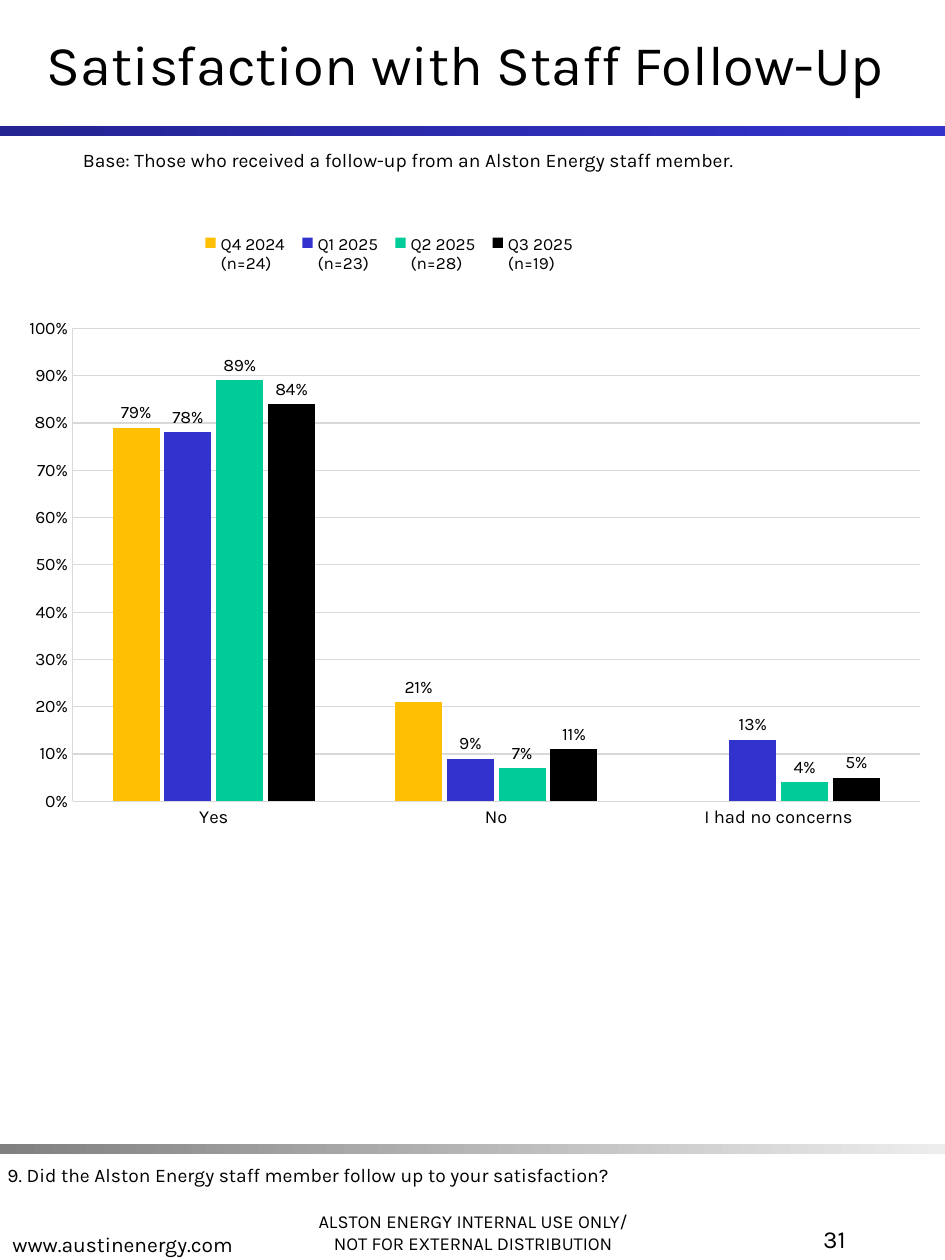
from dataclasses import dataclass

from lxml.etree import SubElement
from pptx import Presentation
from pptx.chart.data import CategoryChartData
from pptx.dml.color import RGBColor as Rgb
from pptx.enum.chart import XL_CHART_TYPE as ChartType
from pptx.enum.chart import XL_LABEL_POSITION as LabelPos
from pptx.enum.chart import XL_LEGEND_POSITION as LegendPos
from pptx.enum.chart import XL_TICK_MARK as Tick
from pptx.enum.shapes import MSO_SHAPE as Preset
from pptx.enum.text import MSO_ANCHOR as Anchor
from pptx.enum.text import MSO_AUTO_SIZE as AutoSize
from pptx.enum.text import PP_ALIGN as Align
from pptx.oxml.ns import qn
from pptx.util import Cm, Pt


@dataclass(frozen=True)
class Theme:
    face: str = "Karla"
    ink: str = "000000"
    grid: str = "D9D9D9"
    header_fade: tuple = ("242492", "3333CC")
    footer_fade: tuple = ("808080", "EDEDED")
    wave_colors: tuple = ("FFC003", "3233CC", "00CC99", "000000")
    title: float = 32
    page: float = 14
    site: float = 12
    body: float = 11
    notice: float = 10.5
    category: float = 10.5
    chart: float = 10
    legend: float = 9.8


@dataclass(frozen=True)
class Box:
    """A place on the slide, in centimetres."""
    left: float
    top: float
    width: float
    height: float

    def lengths(self) -> dict:
        return {side: Cm(getattr(self, side))
                for side in ("left", "top", "width", "height")}


@dataclass(frozen=True)
class Note:
    box: Box
    text: str
    size: float
    align: Align = Align.LEFT
    anchor: Anchor = Anchor.TOP


@dataclass(frozen=True)
class Wave:
    """One quarter of the survey, with a share for each answer."""
    quarter: str
    sample: int
    shares: tuple


THEME = Theme()
WIDTH, HEIGHT = 19.05, 25.4
HEADER_HEIGHT = 2.54
RULE_HEIGHT = 0.2
FOOTER_TOP = 23.06
LINE_HEIGHT = 0.74
FOOTER_WIDTH, FOOTER_HEIGHT = 8.1, 1.7
UTILITY = "Alston Energy"

TITLE = Note(Box(0, 0, WIDTH, HEADER_HEIGHT), "Satisfaction with Staff Follow-Up ",
             THEME.title, Align.CENTER, Anchor.MIDDLE)
BASE = Note(Box(1.42, 2.87, 16.36, LINE_HEIGHT),
            f"Base: Those who received a follow-up from an {UTILITY} staff member.",
            THEME.body)
QUESTION = Note(Box(-0.1, 23.32, 17.4, LINE_HEIGHT),
                f"9. Did the {UTILITY} staff member follow up to your satisfaction?",
                THEME.body)
NOTICE = Note(Box(5.49, 23.7, FOOTER_WIDTH, FOOTER_HEIGHT),
              f"{UTILITY.upper()} INTERNAL USE ONLY/\nNOT FOR EXTERNAL DISTRIBUTION",
              THEME.notice, Align.CENTER, Anchor.BOTTOM)
WEBSITE = Note(Box(0, 23.75, FOOTER_WIDTH, FOOTER_HEIGHT), "www.austinenergy.com",
               THEME.site, anchor=Anchor.BOTTOM)
PAGE = Note(Box(13.34, 24.56, 3.96, FOOTER_HEIGHT), "31", THEME.page, Align.RIGHT)

CHART_BOX = Box(0.15, 4.01, 18.77, 13.06)
PLOT_PLACE = {"x": 0.07, "y": 0.2, "w": 0.91, "h": 0.73}
LEGEND_PLACE = {"x": 0.2, "y": 0.05, "w": 0.42, "h": 0.07}
PERCENT = {"number_format": "0%", "number_format_is_linked": False}
ANSWERS = ("Yes", "No", "I had no concerns")
WAVES = (
    Wave("Q4 2024", 24, (0.79, 0.21, None)),
    Wave("Q1 2025", 23, (0.78, 0.09, 0.13)),
    Wave("Q2 2025", 28, (0.89, 0.07, 0.04)),
    Wave("Q3 2025", 19, (0.84, 0.11, 0.05)),
)


def assign(target, values: dict) -> None:
    for name, value in values.items():
        setattr(target, name, value)


def style_font(font, size: float) -> None:
    assign(font, {"name": THEME.face, "size": Pt(size), "bold": False})
    font.color.rgb = Rgb.from_string(THEME.ink)


def style_line(line, width: float) -> None:
    line.color.rgb = Rgb.from_string(THEME.grid)
    line.width = Pt(width)


def write_note(shape, note: Note) -> None:
    frame = shape.text_frame
    frame.text = note.text
    assign(frame, {"word_wrap": True, "auto_size": AutoSize.NONE,
                   "vertical_anchor": note.anchor})
    for paragraph in frame.paragraphs:
        paragraph.alignment = note.align
        style_font(paragraph.font, note.size)


def add_rule(slide, top: float, fade: tuple) -> None:
    """Draw a full-width bar that fades from left to right."""
    place = Box(0, top, WIDTH, RULE_HEIGHT).lengths()
    rule = slide.shapes.add_shape(Preset.RECTANGLE, **place)
    rule.shadow.inherit = False
    rule.line.fill.background()
    rule.fill.gradient()
    rule.fill.gradient_angle = 0
    for position, (stop, color) in enumerate(zip(rule.fill.gradient_stops, fade)):
        stop.color.rgb = Rgb.from_string(color)
        stop.position = position


def insert_layout(part, index: int, settings: dict) -> None:
    """Give a chart part a fixed place, in fractions of the chart."""
    for automatic in part.findall(qn("c:layout")):
        part.remove(automatic)
    layout = SubElement(part, qn("c:layout"))
    part.insert(index, layout)
    manual = SubElement(layout, qn("c:manualLayout"))
    for tag, value in settings.items():
        SubElement(manual, qn(f"c:{tag}")).set("val", str(value))


def survey_data() -> CategoryChartData:
    data = CategoryChartData(number_format="0%")
    data.categories = ANSWERS
    for wave in WAVES:
        data.add_series(f"{wave.quarter}\n(n={wave.sample})", wave.shares)
    return data


def style_columns(plot) -> None:
    assign(plot, {"gap_width": 170, "overlap": -10, "vary_by_categories": False})
    for series, color in zip(plot.series, THEME.wave_colors):
        series.format.fill.solid()
        series.format.fill.fore_color.rgb = Rgb.from_string(color)
        labels = series.data_labels
        assign(labels, PERCENT | {"show_value": True,
                                  "position": LabelPos.OUTSIDE_END})
        style_font(labels.font, THEME.chart)


def style_axes(shares, answers) -> None:
    assign(shares, {"minimum_scale": 0, "maximum_scale": 1, "major_unit": 0.1,
                    "has_major_gridlines": True})
    assign(shares.tick_labels, PERCENT)
    style_line(shares.major_gridlines.format.line, 0.62)
    for axis, size, width in ((shares, THEME.chart, 0.41),
                              (answers, THEME.category, 0.62)):
        assign(axis, {"major_tick_mark": Tick.NONE, "minor_tick_mark": Tick.NONE})
        style_font(axis.tick_labels.font, size)
        style_line(axis.format.line, width)


def place_chart_parts(chart) -> None:
    """Fix the plot and the legend; a legend's layout follows its position."""
    edges = {"xMode": "edge", "yMode": "edge"}
    plot_area = chart.element.find(".//" + qn("c:plotArea"))
    insert_layout(plot_area, 0, {"layoutTarget": "inner"} | edges | PLOT_PLACE)
    legend = chart.element.find(".//" + qn("c:legend"))
    insert_layout(legend, 1, edges | LEGEND_PLACE)


def add_survey_chart(slide) -> None:
    chart = slide.shapes.add_chart(
        ChartType.COLUMN_CLUSTERED, *CHART_BOX.lengths().values(), survey_data()).chart
    assign(chart, {"has_title": False, "has_legend": True})
    style_font(chart.font, THEME.chart)
    style_columns(chart.plots[0])
    style_axes(chart.value_axis, chart.category_axis)
    assign(chart.legend, {"position": LegendPos.TOP, "include_in_layout": False})
    style_font(chart.legend.font, THEME.legend)
    place_chart_parts(chart)


def main() -> None:
    deck = Presentation()
    assign(deck, {"slide_width": Cm(WIDTH), "slide_height": Cm(HEIGHT)})
    slide = deck.slides.add_slide(deck.slide_layouts.get_by_name("Title Only"))
    assign(slide.shapes.title, TITLE.box.lengths())
    write_note(slide.shapes.title, TITLE)
    add_rule(slide, HEADER_HEIGHT, THEME.header_fade)
    add_rule(slide, FOOTER_TOP, THEME.footer_fade)
    add_survey_chart(slide)
    for note in (BASE, QUESTION, NOTICE, WEBSITE, PAGE):
        write_note(slide.shapes.add_textbox(**note.box.lengths()), note)
    deck.save("out.pptx")


if __name__ == "__main__":
    main()
